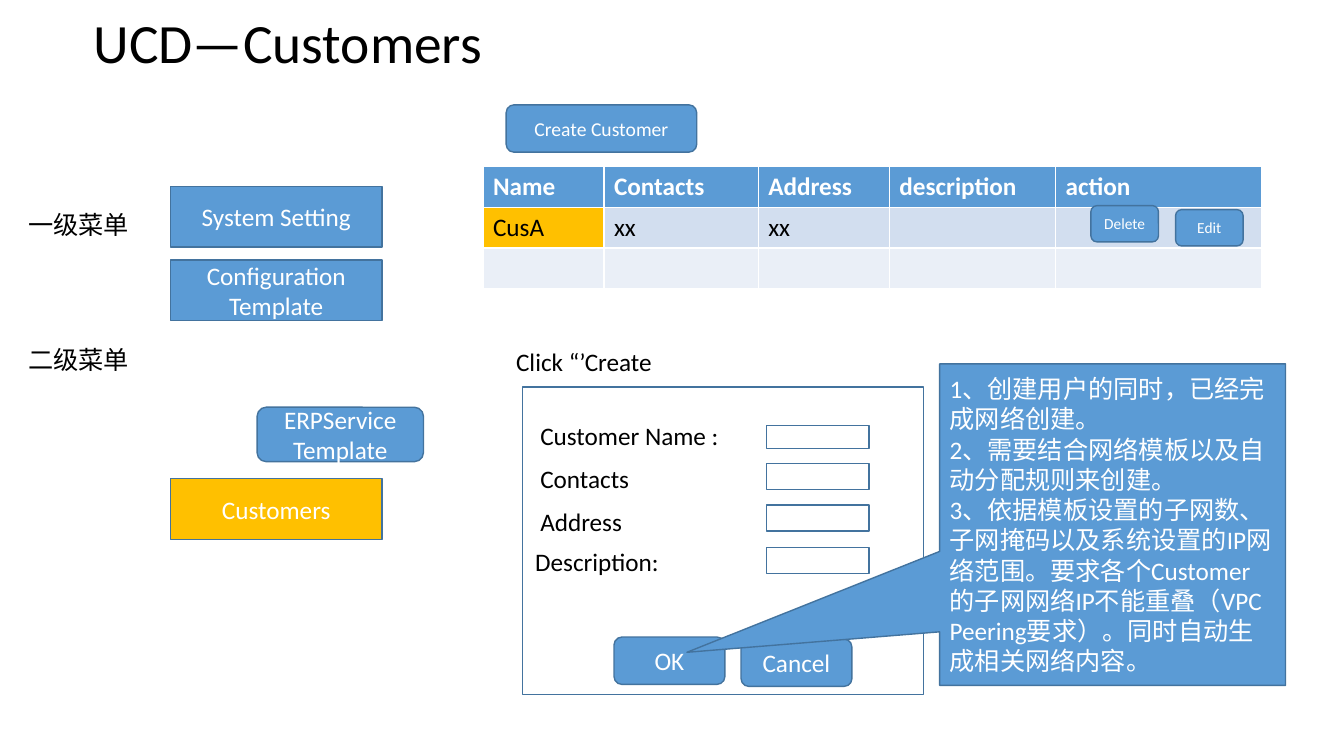
"""Build the UCD wireframe slide for the Customers page."""
from dataclasses import dataclass
from typing import Any

from pptx import Presentation
from pptx import util as u
from pptx.dml import color
from pptx.enum import shapes, text

COLORS = {
    "blue": "5B9BD5",
    "outline": "43739E",
    "amber": "FFC000",
    "white": "FFFFFF",
    "black": "000000",
    "band": "D2DEEF",
    "light_band": "EAEFF7",
}
FONT = "Calibri"
RECTANGLE = shapes.MSO_SHAPE.RECTANGLE
ROUNDED = shapes.MSO_SHAPE.ROUNDED_RECTANGLE
CALLOUT = shapes.MSO_SHAPE.RECTANGULAR_CALLOUT


@dataclass
class Box:
    left: float
    top: float
    width: float
    height: float
    words: str = ""
    fill: str = "blue"
    kind: Any = RECTANGLE
    size: float = 18
    align: Any = text.PP_ALIGN.CENTER


@dataclass
class Label:
    left: float
    top: float
    width: float
    words: str


MENU = {"left": 1.69, "width": 2.1, "height": 0.6}
ACTION = {"width": 0.67, "height": 0.36, "kind": ROUNDED, "size": 11}
DIALOG_BUTTON = {"width": 1.1, "height": 0.47, "kind": ROUNDED}
FIELD = {"left": 7.6, "width": 1.02, "fill": "white"}
NOTES = "\n".join([
    "1、创建用户的同时，已经完成网络创建。",
    "2、需要结合网络模板以及自动分配规则来创建。",
    "3、依据模板设置的子网数、子网掩码以及系统设置的IP网络范围。"
    "要求各个Customer的子网网络IP不能重叠（VPC Peering要求）。"
    "同时自动生成相关网络内容。",
])

DIALOG = Box(5.18, 3.84, 3.98, 3.05, fill="white")
BOXES = [
    Box(5.02, 1.04, 1.89, 0.47, "Create Customer", kind=ROUNDED, size=14),
    Box(10.82, 2.04, words="Delete", **ACTION),
    Box(11.66, 2.08, words="Edit", **ACTION),
    Box(7.35, 6.34, words="Cancel", **DIALOG_BUTTON),
    Box(6.09, 6.32, words="OK", **DIALOG_BUTTON),
    Box(top=4.22, height=0.23, **FIELD),
    *(Box(top=top, height=0.26, **FIELD) for top in (4.6, 5.01, 5.43)),
    Box(top=1.85, words="System Setting", **MENU),
    Box(top=2.58, words="Configuration Template", **MENU),
    Box(2.55, 4.04, 1.65, 0.54, "ERPService Template", kind=ROUNDED),
    Box(top=4.75, words="Customers", fill="amber", **MENU),
]
NOTE = Box(9.32, 3.61, 3.43, 3.19, NOTES, kind=CALLOUT, align=text.PP_ALIGN.LEFT)
NOTE_POINTER = (-1.231, 0.397)
LABELS = [
    Label(0.18, 2.03, 1.21, "一级菜单"),
    Label(0.18, 3.37, 1.21, "二级菜单"),
    Label(5.02, 3.39, 1.62, "Click “’Create"),
    Label(5.26, 4.12, 1.99, "Customer Name :"),
    Label(5.26, 4.55, 1.09, "Contacts"),
    Label(5.26, 4.97, 1.02, "Address"),
    Label(5.21, 5.37, 1.5, "Description:"),
]
COLUMN_WIDTHS = [1.2, 1.53, 1.3, 1.65, 2.04]
ROW_HEIGHT = 0.405
ROWS = [
    ["Name", "Contacts", "Address", "description", "action"],
    ["CusA", "xx", "xx", "", ""],
    ["", "", "", "", ""],
]
ROW_FILLS = ["blue", "band", "light_band"]


def rgb(name: str) -> color.RGBColor:
    """Return the named colour."""
    return color.RGBColor.from_string(COLORS[name])


def apply(target: Any, values: dict) -> None:
    """Set every given attribute on the target."""
    for name, value in values.items():
        setattr(target, name, value)


def fill_solid(target: Any, name: str) -> None:
    """Give a shape or cell a plain fill."""
    target.fill.solid()
    target.fill.fore_color.rgb = rgb(name)


def write(frame: Any, words: str, ink: str, size: float = 18, bold: bool = False,
          align: Any = text.PP_ALIGN.LEFT) -> None:
    """Put formatted words into a text frame."""
    frame.text = words
    for paragraph in frame.paragraphs:
        paragraph.alignment = align
        apply(paragraph.font, {"name": FONT, "size": u.Pt(size), "bold": bold})
        paragraph.font.color.rgb = rgb(ink)


def add_box(slide: Any, box: Box) -> Any:
    """Draw one outlined box with its words."""
    shape = slide.shapes.add_shape(
        box.kind, u.Inches(box.left), u.Inches(box.top),
        u.Inches(box.width), u.Inches(box.height))
    shape.shadow.inherit = False
    fill_solid(shape, box.fill)
    shape.line.color.rgb = rgb("outline")
    shape.line.width = u.Pt(1)
    if box.words:
        apply(shape.text_frame, {"word_wrap": True,
                                 "vertical_anchor": text.MSO_ANCHOR.MIDDLE})
        write(shape.text_frame, box.words, "white", box.size, align=box.align)
    return shape


def add_label(slide: Any, label: Label) -> None:
    """Draw one unwrapped line of text."""
    shape = slide.shapes.add_textbox(
        u.Inches(label.left), u.Inches(label.top),
        u.Inches(label.width), u.Inches(0.4))
    apply(shape.text_frame, {"word_wrap": False,
                             "auto_size": text.MSO_AUTO_SIZE.SHAPE_TO_FIT_TEXT})
    write(shape.text_frame, label.words, "black")


def add_title(slide: Any) -> None:
    """Place and format the slide title."""
    title = slide.shapes.title
    apply(title, {"left": u.Inches(0.83), "top": u.Inches(0.12),
                  "width": u.Inches(11.5), "height": u.Inches(0.66)})
    apply(title.text_frame, {"auto_size": text.MSO_AUTO_SIZE.NONE,
                             "vertical_anchor": text.MSO_ANCHOR.MIDDLE})
    write(title.text_frame, "UCD—Customers", "black", 39.6)
    title.text_frame.paragraphs[0].line_spacing = 0.9


def add_customer_table(slide: Any) -> None:
    """Draw the customer list."""
    table = slide.shapes.add_table(
        len(ROWS), len(COLUMN_WIDTHS), u.Inches(4.79), u.Inches(1.65),
        u.Inches(sum(COLUMN_WIDTHS)), u.Inches(ROW_HEIGHT * len(ROWS))).table
    for column, width in zip(table.columns, COLUMN_WIDTHS):
        column.width = u.Inches(width)
    for index, (row, words) in enumerate(zip(table.rows, ROWS)):
        row.height = u.Inches(ROW_HEIGHT)
        header = index == 0
        for cell, word in zip(row.cells, words):
            fill_solid(cell, "amber" if word == "CusA" else ROW_FILLS[index])
            write(cell.text_frame, word, "white" if header else "black", bold=header)


def main() -> None:
    """Build and save the presentation."""
    presentation = Presentation()
    apply(presentation, {"slide_width": u.Inches(13.33), "slide_height": u.Inches(7.5)})
    slide = presentation.slides.add_slide(presentation.slide_layouts[5])
    add_title(slide)
    add_box(slide, DIALOG)
    add_customer_table(slide)
    for box in BOXES:
        add_box(slide, box)
    for label in LABELS:
        add_label(slide, label)
    note = add_box(slide, NOTE)
    for index, value in enumerate(NOTE_POINTER):
        note.adjustments[index] = value
    presentation.save("out.pptx")


if __name__ == "__main__":
    main()
